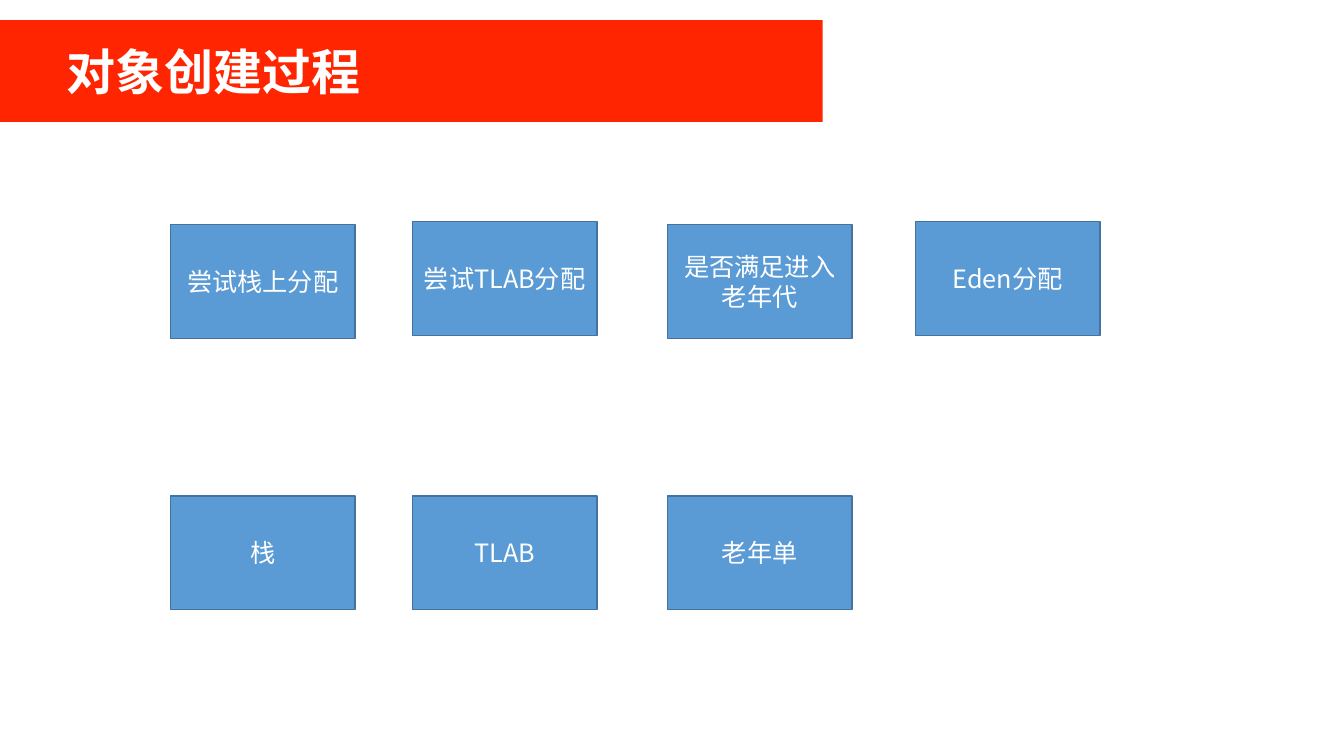
import dataclasses

import pptx
import pptx.dml.color
import pptx.enum.shapes
import pptx.enum.text
import pptx.oxml
import pptx.oxml.ns
import pptx.util


@dataclasses.dataclass(frozen=True)
class Theme:
    font: str = "Noto Sans CJK SC"
    banner: str = "FF2500"
    box: str = "5B9BD5"
    box_line: str = "43739E"
    text: str = "FFFFFF"
    title_size: int = 35
    box_size: int = 18
    line_width: int = 1


COLUMN_LEFTS = (1.69, 4.09, 6.62, 9.08)
ROW_TOPS = (2.23, 4.92)
BOX_SIZE = (1.83, 1.13)
RAISE = 0.03

# label, column, row, raised above the row
BOXES = (
    ("尝试栈上分配", 0, 0, False),
    ("尝试TLAB分配", 1, 0, True),
    ("是否满足进入老年代", 2, 0, False),
    ("Eden分配", 3, 0, True),
    ("栈", 0, 1, False),
    ("TLAB", 1, 1, False),
    ("老年单", 2, 1, False),
)


class SlideBuilder:
    def __init__(self, slide, theme):
        self.slide = slide
        self.theme = theme

    def rectangle(self, left, top, width, height, fill, line=None):
        shape = self.slide.shapes.add_shape(
            pptx.enum.shapes.MSO_SHAPE.RECTANGLE,
            *map(pptx.util.Inches, (left, top, width, height)))
        shape.shadow.inherit = False
        shape.fill.solid()
        shape.fill.fore_color.rgb = pptx.dml.color.RGBColor.from_string(fill)
        if line:
            shape.line.color.rgb = pptx.dml.color.RGBColor.from_string(line)
            shape.line.width = pptx.util.Pt(self.theme.line_width)
        else:
            shape.line.fill.background()
        return shape

    def set_text(self, shape, text, alignment, frame_format, font_format):
        frame = shape.text_frame
        for name, value in frame_format.items():
            setattr(frame, name, value)
        paragraph = frame.paragraphs[0]
        paragraph.alignment = alignment
        run = paragraph.add_run()
        run.text = text
        run.font.color.rgb = pptx.dml.color.RGBColor.from_string(self.theme.text)
        for name, value in {"name": self.theme.font, **font_format}.items():
            setattr(run.font, name, value)
        east_asian = pptx.oxml.parse_xml(
            f'<a:ea {pptx.oxml.ns.nsdecls("a")} typeface="{self.theme.font}"/>')
        run.font._element.append(east_asian)

    def title(self, text, left, top, width, height):
        shape = self.slide.shapes.add_textbox(
            *map(pptx.util.Inches, (left, top, width, height)))
        self.set_text(
            shape, text, pptx.enum.text.PP_ALIGN.LEFT,
            {"word_wrap": False,
             "auto_size": pptx.enum.text.MSO_AUTO_SIZE.SHAPE_TO_FIT_TEXT},
            {"size": pptx.util.Pt(self.theme.title_size), "bold": True})

    def box(self, text, column, row, raised):
        top = ROW_TOPS[row] - RAISE * raised
        shape = self.rectangle(COLUMN_LEFTS[column], top, *BOX_SIZE,
                               self.theme.box, self.theme.box_line)
        self.set_text(
            shape, text, pptx.enum.text.PP_ALIGN.CENTER,
            {"word_wrap": True,
             "vertical_anchor": pptx.enum.text.MSO_ANCHOR.MIDDLE},
            {"size": pptx.util.Pt(self.theme.box_size)})


def main():
    presentation = pptx.Presentation()
    presentation.slide_width = pptx.util.Inches(13.33)
    presentation.slide_height = pptx.util.Inches(7.5)
    slide = presentation.slides.add_slide(presentation.slide_layouts[6])
    builder = SlideBuilder(slide, Theme())
    builder.rectangle(-0.02, 0.2, 8.18, 1.01, builder.theme.banner)
    builder.title("对象创建过程", 0.56, 0.36, 3.15, 0.69)
    for box in BOXES:
        builder.box(*box)
    presentation.save("out.pptx")


if __name__ == "__main__":
    main()
